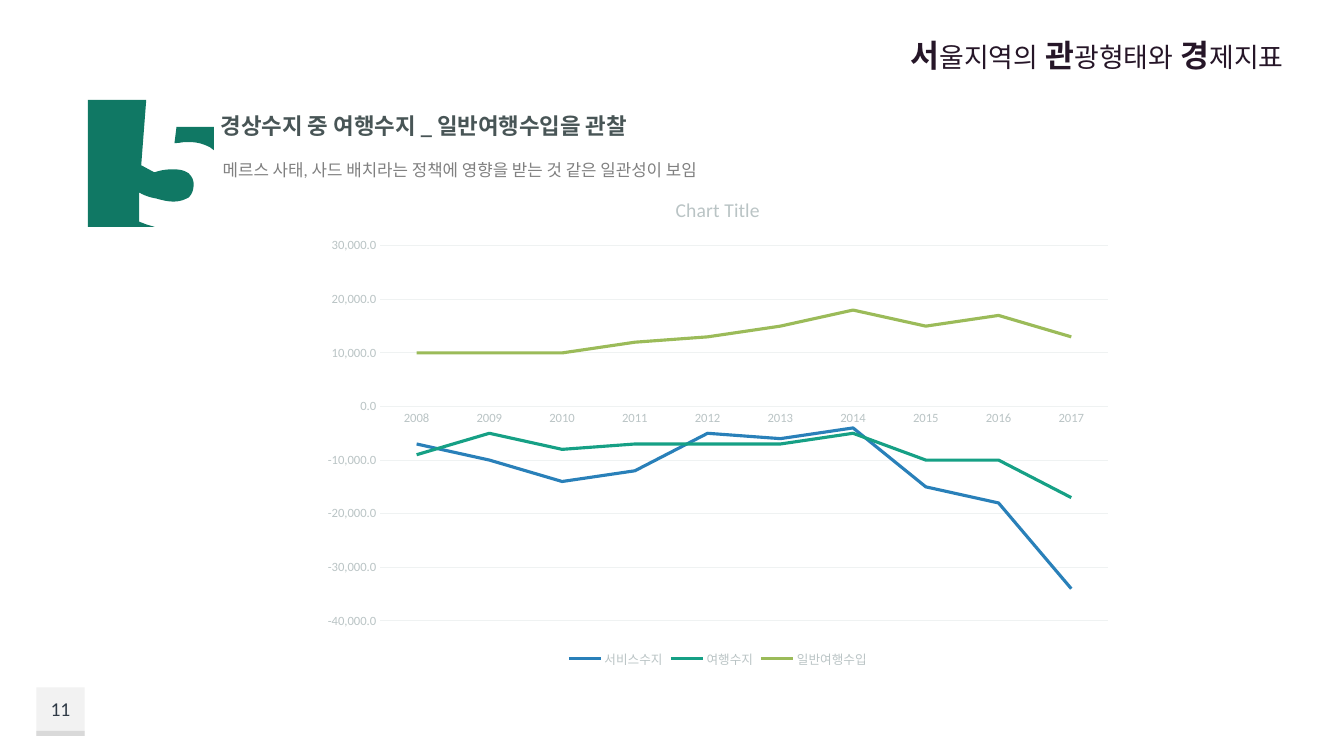
from dataclasses import dataclass
from typing import Optional

from pptx import Presentation
from pptx.chart.data import CategoryChartData
from pptx.dml.color import RGBColor
from pptx.enum.chart import XL_CHART_TYPE, XL_LEGEND_POSITION, XL_TICK_MARK
from pptx.enum.shapes import MSO_SHAPE
from pptx.enum.text import MSO_ANCHOR, PP_ALIGN
from pptx.slide import Slide
from pptx.text.text import Font
from pptx.util import Inches, Pt

SLIDE_WIDTH, SLIDE_HEIGHT = Inches(13.33), Inches(7.5)
COLUMN, ROW = SLIDE_WIDTH / 100, SLIDE_HEIGHT / 100
EMBLEM_UNIT = SLIDE_WIDTH / 1333
CURVE_STEPS = 10
FONT_NAME = "Calibri"
COLORS = {
    "white": "FFFFFF", "badge": "F2F2F2", "badge_edge": "D9D9D9", "number": "2F3A46",
    "heading": "485556", "subheading": "808080", "title": "261628", "emblem": "107864",
    "chart_text": "BAC4C5", "grid": "EFF2F2",
    "service": "2980B9", "travel": "16A085", "income": "9BBB59",
}


@dataclass(frozen=True)
class Area:
    column: float
    row: float
    columns: float
    rows: float

    def lengths(self) -> tuple[int, int, int, int]:
        return (round(self.column * COLUMN), round(self.row * ROW),
                round(self.columns * COLUMN), round(self.rows * ROW))


@dataclass(frozen=True)
class Block:
    area: Area
    fill: str
    outline: Optional[str] = None


@dataclass(frozen=True)
class Piece:
    text: str
    size: float
    color: str
    bold: bool = False
    small_caps: bool = False


@dataclass(frozen=True)
class Label:
    area: Area
    pieces: list[Piece]
    align: PP_ALIGN = PP_ALIGN.LEFT
    anchor: MSO_ANCHOR = MSO_ANCHOR.TOP
    wrap: bool = True


@dataclass(frozen=True)
class Balance:
    name: str
    color: str
    thousands: list[int]


def title_piece(text: str, initial: bool) -> Piece:
    return Piece(text, 28 if initial else 24, "title", initial, True)


TITLE_PIECES = [
    title_piece("서", True), title_piece("울지역의", False), title_piece(" ", True),
    title_piece("관", True), title_piece("광형태와", False), title_piece(" ", True),
    title_piece("경", True), title_piece("제지표", False),
]
BLOCKS = [
    Block(Area(2.7, 90.93, 3.6, 6.4), "badge"),
    Block(Area(2.7, 96.67, 3.6, 0.67), "badge_edge"),
    Block(Area(0.45, 2.4, 24, 16.8), "white", "white"),
]
LABELS = [
    Label(Area(2.7, 90.93, 3.6, 5.73), [Piece("11", 14, "number")],
          PP_ALIGN.CENTER, MSO_ANCHOR.MIDDLE),
    Label(Area(15.68, 14.13, 34.58, 4.93),
          [Piece("경상수지 중 여행수지 _ 일반여행수입을 관찰", 16, "heading", True)], wrap=False),
    Label(Area(15.83, 20.53, 50.18, 4),
          [Piece("메르스 사태, 사드 배치라는 정책에 영향을 받는 것 같은 일관성이 보임", 12, "subheading")],
          PP_ALIGN.JUSTIFY),
    Label(Area(33.16, 2.27, 63.09, 9.07), TITLE_PIECES, PP_ALIGN.RIGHT, MSO_ANCHOR.MIDDLE),
]
CHART_AREA = Area(23.18, 23.47, 60.45, 65.33)
YEARS = [str(year) for year in range(2008, 2018)]
BALANCES = [
    Balance("서비스수지", "service", [-7, -10, -14, -12, -5, -6, -4, -15, -18, -34]),
    Balance("여행수지", "travel", [-9, -5, -8, -7, -7, -7, -5, -10, -10, -17]),
    Balance("일반여행수입", "income", [10, 10, 10, 12, 13, 15, 18, 15, 17, 13]),
]

Point = tuple[float, float]
EMBLEM_ORIGIN = Area(6.53, 13.2, 0, 0)
EMBLEM_CONTOURS: list[list[tuple[Point, ...]]] = [
    [((88, 27),), ((125, 27),), ((125, 50),), ((121, 47),),
     ((115, 44), (109, 42), (101, 42)), ((100, 42), (98, 42), (96, 42)),
     ((94, 42), (91, 43), (86, 43))],
    [((0, 0),), ((58, 0),), ((53, 65),), ((66, 72),),
     ((72, 70), (78, 69), (84, 69)), ((91, 69), (96, 70), (100, 73)),
     ((103, 76), (105, 79), (105, 84)), ((105, 90), (103, 94), (100, 97)),
     ((96, 99), (92, 101), (85, 101)), ((80, 101), (75, 100), (68, 98)),
     ((62, 97), (56, 95), (51, 92)), ((51, 121),),
     ((54, 122), (56, 123), (59, 124)), ((66, 126),), ((0, 126),)],
]


def rgb(name: str) -> RGBColor:
    return RGBColor.from_string(COLORS[name])


def style_font(font: Font, size: float, color: str, bold: bool = False) -> None:
    font.name, font.size, font.bold = FONT_NAME, Pt(size), bold
    font.color.rgb = rgb(color)


def draw_block(slide: Slide, block: Block) -> None:
    shape = slide.shapes.add_shape(MSO_SHAPE.RECTANGLE, *block.area.lengths())
    shape.shadow.inherit = False
    shape.fill.solid()
    shape.fill.fore_color.rgb = rgb(block.fill)
    if block.outline:
        shape.line.color.rgb = rgb(block.outline)
        shape.line.width = Pt(2)
    else:
        shape.line.fill.background()


def draw_label(slide: Slide, label: Label) -> None:
    frame = slide.shapes.add_textbox(*label.area.lengths()).text_frame
    frame.word_wrap = label.wrap
    frame.vertical_anchor = label.anchor
    paragraph = frame.paragraphs[0]
    paragraph.alignment = label.align
    for piece in label.pieces:
        run = paragraph.add_run()
        run.text = piece.text
        style_font(run.font, piece.size, piece.color, piece.bold)
        if piece.small_caps:
            run._r.get_or_add_rPr().set("cap", "small")


def flatten(contour: list[tuple[Point, ...]]) -> list[Point]:
    points: list[Point] = []
    for segment in contour:
        if len(segment) == 1:
            points.append(segment[0])
            continue
        controls = (points[-1], *segment)
        for step in range(1, CURVE_STEPS + 1):
            t = step / CURVE_STEPS
            weights = ((1 - t) ** 3, 3 * t * (1 - t) ** 2, 3 * t * t * (1 - t), t ** 3)
            x, y = (sum(w * p[axis] for w, p in zip(weights, controls)) for axis in (0, 1))
            points.append((x, y))
    return [(x * EMBLEM_UNIT, y * EMBLEM_UNIT) for x, y in points]


def draw_emblem(slide: Slide) -> None:
    first, second = (flatten(contour) for contour in EMBLEM_CONTOURS)
    builder = slide.shapes.build_freeform(*first[0])
    builder.add_line_segments(first[1:], close=True)
    builder.move_to(*second[0])
    builder.add_line_segments(second[1:], close=True)
    left, top, _, _ = EMBLEM_ORIGIN.lengths()
    shape = builder.convert_to_shape(left, top)
    shape.shadow.inherit = False
    shape.fill.solid()
    shape.fill.fore_color.rgb = rgb("emblem")
    shape.line.fill.background()


def draw_chart(slide: Slide) -> None:
    data = CategoryChartData(number_format="#,##0.0")
    data.categories = YEARS
    for balance in BALANCES:
        data.add_series(balance.name, [value * 1000 for value in balance.thousands])
    chart = slide.shapes.add_chart(XL_CHART_TYPE.LINE, *CHART_AREA.lengths(), data).chart
    style_font(chart.font, 10, "chart_text")
    run = chart.chart_title.text_frame.paragraphs[0].add_run()
    run.text = "Chart Title"
    style_font(run.font, 14, "chart_text")
    chart.chart_title.include_in_layout = False
    chart.has_legend = True
    chart.legend.position = XL_LEGEND_POSITION.BOTTOM
    chart.legend.include_in_layout = False
    style_font(chart.legend.font, 9, "chart_text")
    years, amounts = chart.category_axis, chart.value_axis
    for axis in (years, amounts):
        axis.major_tick_mark = axis.minor_tick_mark = XL_TICK_MARK.NONE
        style_font(axis.tick_labels.font, 9, "chart_text")
    amounts.minimum_scale, amounts.maximum_scale, amounts.major_unit = -40000, 30000, 10000
    amounts.tick_labels.number_format = "#,##0.0"
    amounts.tick_labels.number_format_is_linked = False
    amounts.format.line.fill.background()
    for line in (years.format.line, amounts.major_gridlines.format.line):
        line.color.rgb, line.width = rgb("grid"), Pt(0.75)
    chart.plots[0].vary_by_categories = False
    for series, balance in zip(chart.plots[0].series, BALANCES):
        series.smooth = False
        series.format.line.color.rgb = rgb(balance.color)
        series.format.line.width = Pt(2.25)


def main() -> None:
    presentation = Presentation()
    presentation.slide_width, presentation.slide_height = SLIDE_WIDTH, SLIDE_HEIGHT
    slide = presentation.slides.add_slide(presentation.slide_layouts[6])
    for block in BLOCKS:
        draw_block(slide, block)
    draw_chart(slide)
    draw_emblem(slide)
    for label in LABELS:
        draw_label(slide, label)
    presentation.save("out.pptx")


if __name__ == "__main__":
    main()
